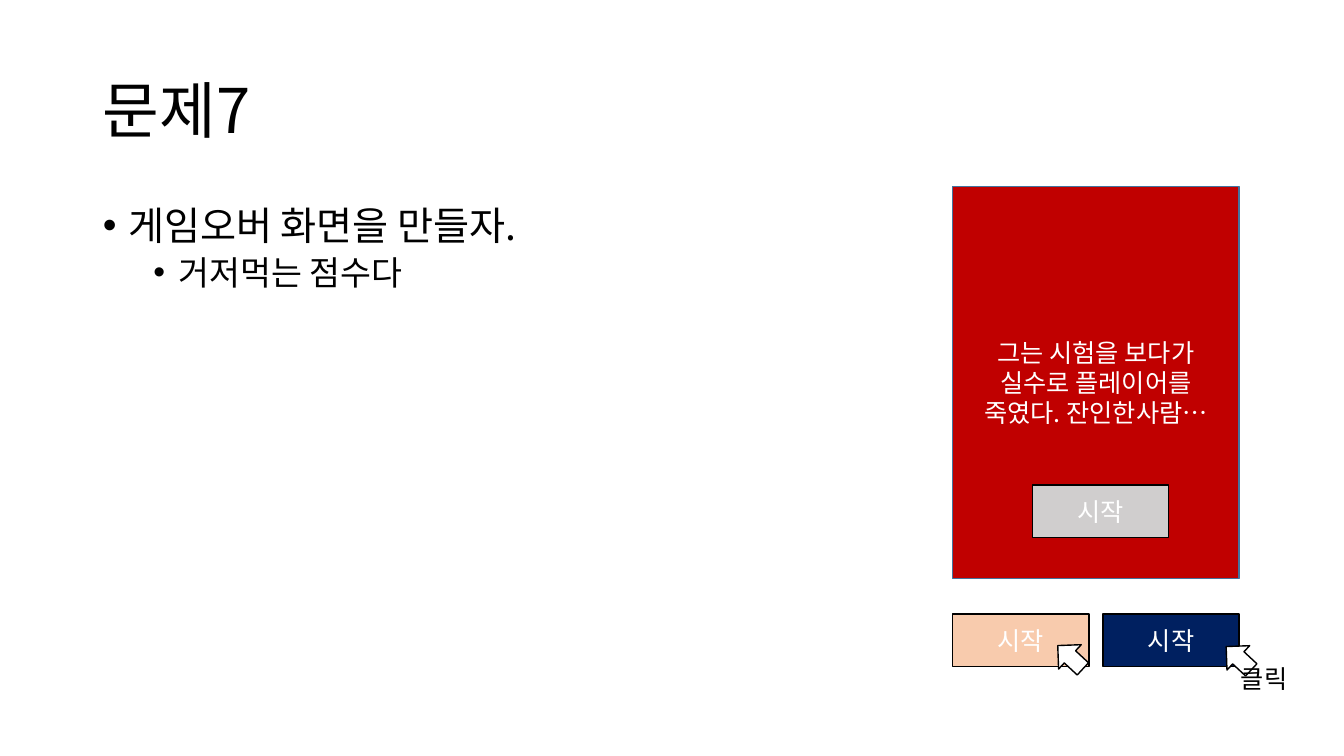
import dataclasses

import lxml.etree
import pptx
import pptx.dml.color
import pptx.enum.shapes
import pptx.enum.text
import pptx.oxml.ns
import pptx.util

Inches = pptx.util.Inches
Pt = pptx.util.Pt
Kind = pptx.enum.shapes.MSO_SHAPE
Align = pptx.enum.text.PP_ALIGN
Anchor = pptx.enum.text.MSO_ANCHOR
Fit = pptx.enum.text.MSO_AUTO_SIZE


@dataclasses.dataclass(frozen=True)
class Theme:
    font: str = "Noto Sans CJK KR"
    black: str = "000000"
    white: str = "FFFFFF"
    red: str = "C00000"
    edge: str = "43739E"
    gray: str = "D0CECE"
    peach: str = "F8CBAD"
    navy: str = "002060"
    title: int = 44
    main: int = 28
    sub: int = 24
    label: int = 18


theme = Theme()


def rgb(code):
    return pptx.dml.color.RGBColor.from_string(code)


def style(para, size, color):
    for run in para.runs:
        run.font.size = Pt(size)
        run.font.color.rgb = rgb(color)
        run.font.name = theme.font
        tag = pptx.oxml.ns.qn("a:ea")
        lxml.etree.SubElement(run.font._element, tag, typeface=theme.font)


def place(shape, left, top, width, height):
    shape.left, shape.top = Inches(left), Inches(top)
    shape.width, shape.height = Inches(width), Inches(height)


def add_title(slide, text):
    title = slide.shapes.title
    place(title, 0.92, 0.4, 11.5, 1.45)
    frame = title.text_frame
    frame.text = text
    frame.auto_size = Fit.NONE
    frame.vertical_anchor = Anchor.MIDDLE
    para = frame.paragraphs[0]
    para.alignment = Align.LEFT
    para.line_spacing = 0.9
    style(para, theme.title, theme.black)


def add_list(slide, items):
    body = slide.placeholders[1]
    place(body, 0.92, 2, 11.5, 4.76)
    frame = body.text_frame
    frame.text = "\n".join(text for text, level in items)
    frame.auto_size = Fit.NONE
    for para, (text, level) in zip(frame.paragraphs, items):
        para.level = level
        para.line_spacing = 0.9
        para.space_before = Pt(5 if level else 10)
        style(para, theme.sub if level else theme.main, theme.black)
        # Bullet and hanging indent
        props = para._p.get_or_add_pPr()
        props.set("marL", str(Inches(0.25 + 0.5 * level)))
        props.set("indent", str(Inches(-0.25)))
        qn = pptx.oxml.ns.qn
        lxml.etree.SubElement(props, qn("a:buFont"), typeface="Arial")
        lxml.etree.SubElement(props, qn("a:buChar"), char="•")


def add_shape(slide, kind, box, fill, line=theme.black):
    shape = slide.shapes.add_shape(kind, *map(Inches, box))
    shape.shadow.inherit = False
    shape.fill.solid()
    shape.fill.fore_color.rgb = rgb(fill)
    shape.line.color.rgb = rgb(line)
    shape.line.width = Pt(1)
    return shape


def add_box(slide, text, box, fill, line=theme.black):
    shape = add_shape(slide, Kind.RECTANGLE, box, fill, line)
    frame = shape.text_frame
    frame.text = text
    frame.word_wrap = True
    # Side margins keep closing punctuation inside the box
    frame.margin_left = frame.margin_right = Inches(0.16)
    frame.vertical_anchor = Anchor.MIDDLE
    para = frame.paragraphs[0]
    para.alignment = Align.CENTER
    style(para, theme.label, theme.white)


def add_cursor(slide, left, top):
    box = left, top, 0.33, 0.34
    arrow = add_shape(slide, Kind.DOWN_ARROW, box, theme.white)
    arrow.rotation = 132.9


def add_note(slide, text, box):
    note = slide.shapes.add_textbox(*map(Inches, box))
    frame = note.text_frame
    frame.text = text
    frame.word_wrap = False
    frame.auto_size = Fit.SHAPE_TO_FIT_TEXT
    style(frame.paragraphs[0], theme.label, theme.black)


def main():
    deck = pptx.Presentation()
    deck.slide_width, deck.slide_height = Inches(13.33), Inches(7.5)
    slide = deck.slides.add_slide(deck.slide_layouts[1])

    # Task
    add_title(slide, "문제7")
    add_list(slide, [("게임오버 화면을 만들자.", 0), ("거저먹는 점수다", 1)])

    # Game over screen
    add_box(slide, "그는 시험을 보다가 실수로 플레이어를 죽였다. 잔인한사람…",
            (9.45, 1.85, 2.84, 3.89), theme.red, theme.edge)

    # Button states: normal, hover, click
    for left, top, fill in ((10.24, 4.81, theme.gray),
                            (9.45, 6.09, theme.peach),
                            (10.94, 6.09, theme.navy)):
        add_box(slide, "시작", (left, top, 1.35, 0.52), fill)

    # Mouse cursors
    add_cursor(slide, 10.45, 6.35)
    add_cursor(slide, 12.12, 6.36)
    add_note(slide, "클릭", (12.21, 6.53, 0.71, 0.4))

    deck.save("out.pptx")


if __name__ == "__main__":
    main()
